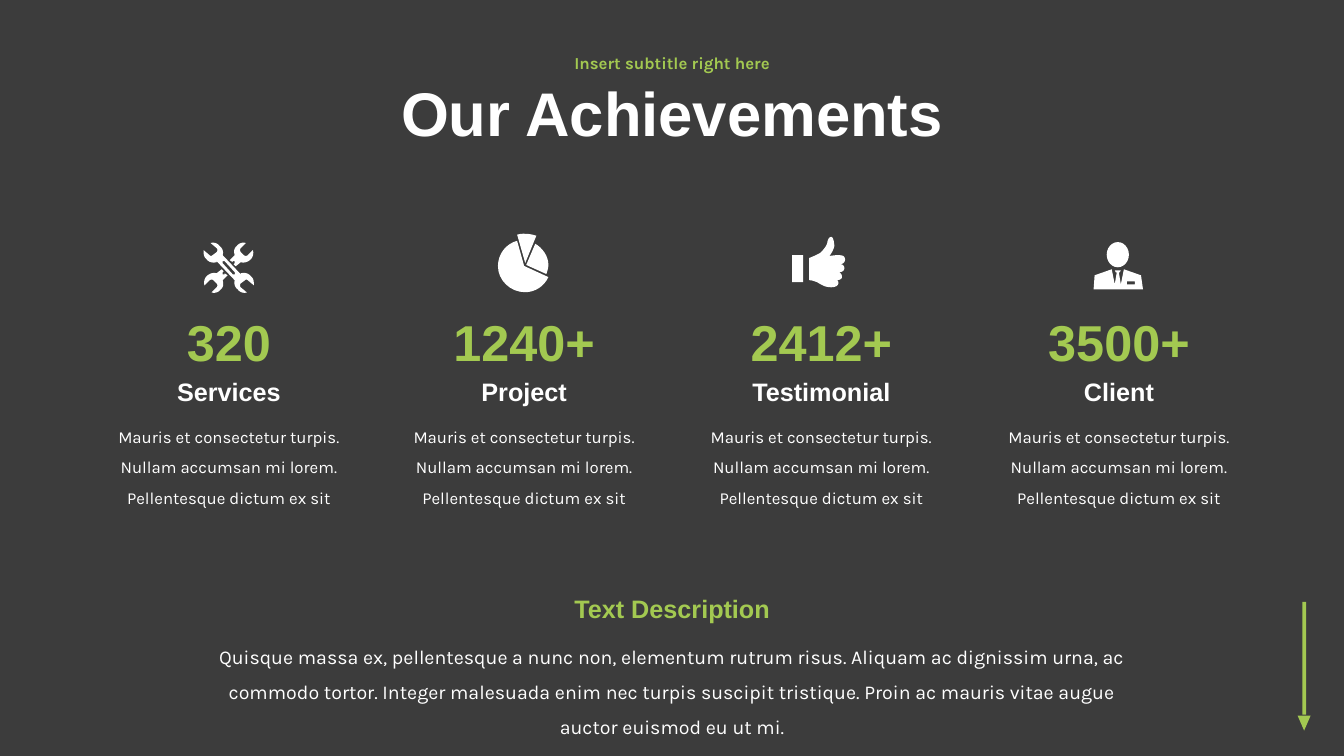
from lxml.etree import SubElement
from pptx import Presentation
from pptx.dml.color import RGBColor
from pptx.enum.shapes import MSO_SHAPE
from pptx.enum.text import MSO_ANCHOR, MSO_AUTO_SIZE, PP_ALIGN
from pptx.oxml.ns import qn
from pptx.util import Cm, Pt

GREEN = RGBColor(0xA3, 0xC9, 0x51)
WHITE = RGBColor(0xFF, 0xFF, 0xFF)
CHARCOAL = RGBColor(0x3C, 0x3C, 0x3C)
HEADING, BODY = "Arial", "Karla"
UNIT = Cm(2.54) / 100  # grid step of the icon outlines
CURVE_STEPS = 8

# Icon outlines: a pair is a corner, six numbers are a Bézier curve.
WRENCH_END = [
    (29, 20), (29, 19), (31, 19), (31, 21), (30, 22), (32, 24), (37, 20),
    (40, 21, 44, 20, 47, 17), (49, 15, 50, 11, 49, 8), (44, 13),
    (43, 14, 41, 14, 40, 13), (37, 10), (36, 9, 36, 7, 37, 6), (42, 1),
    (39, 0, 35, 1, 33, 4), (30, 6, 30, 10, 31, 13), (26, 18)]
WRENCH_HALF = [
    (37, 32), (19, 13), (20, 10, 19, 6, 16, 4), (14, 1, 10, 0, 7, 1), (13, 6),
    (14, 7, 14, 9, 13, 10), (9, 13), (8, 14, 7, 14, 6, 13), (0, 8),
    (0, 11, 0, 15, 3, 17), (5, 20, 9, 21, 13, 20)]
SLOT_HALF = [(31, 30), (31, 32), (29, 32)]
PIE_RIGHT = [(28, 31), (48, 40), (49, 37, 50, 34, 50, 31), (50, 22, 44, 14, 37, 10)]
PIE_MAIN = [(26, 32), (19, 7), (8, 10, 0, 20, 0, 32), (0, 46, 12, 58, 27, 58),
            (37, 58, 46, 52, 50, 43)]
PIE_SLICE = [(27, 29), (38, 2), (35, 1, 31, 0, 26, 0), (24, 0, 22, 0, 19, 1)]
THUMB = [
    (51, 19), (48, 17, 37, 19, 37, 19), (39, 17, 42, 11, 42, 9),
    (42, 6, 41, 0, 39, 0), (36, 0, 35, 5, 35, 6), (34, 10, 30, 14, 28, 16),
    (24, 18, 22, 19, 17, 21), (17, 43), (20, 43, 22, 44, 25, 45),
    (30, 48, 33, 50, 39, 50), (48, 50, 47, 43, 44, 43), (51, 43, 51, 38, 47, 35),
    (54, 35, 53, 27, 48, 27), (53, 27, 54, 21, 51, 19)]
SUIT = [(47, 33), (30, 27), (27, 42), (25, 30), (26, 30), (27, 28), (21, 28),
        (22, 30), (23, 30), (21, 42), (18, 27), (1, 33), (0, 47), (49, 47)]
POCKET = [(41, 42), (33, 42), (33, 39), (41, 39)]


def corners(outline):
    """Turn an outline into plain points, sampling its curves."""
    points = []
    for step in outline:
        if len(step) == 2:
            points.append(step)
            continue
        x0, y0 = points[-1]
        x1, y1, x2, y2, x3, y3 = step
        for index in range(1, CURVE_STEPS + 1):
            t = index / CURVE_STEPS
            a, b, c, d = (1 - t) ** 3, 3 * t * (1 - t) ** 2, 3 * t * t * (1 - t), t ** 3
            points.append((a * x0 + b * x1 + c * x2 + d * x3,
                           a * y0 + b * y1 + c * y2 + d * y3))
    return points


def turned(points):
    """Rotate points half a turn about the centre of the tools icon."""
    return [(50 - x, 51 - y) for x, y in points]


def both_halves(outline):
    half = corners(outline)
    return half + turned(half)


# Each icon: freeforms made of contours, then preset shapes on the same grid.
TOOLS = ([[corners(WRENCH_END)], [turned(corners(WRENCH_END))],
          [both_halves(WRENCH_HALF), both_halves(SLOT_HALF)]], [])
PIE = ([[corners(part)] for part in (PIE_RIGHT, PIE_MAIN, PIE_SLICE)], [])
THUMBS_UP = ([[corners(THUMB)]], [(MSO_SHAPE.RECTANGLE, 0, 18, 11, 27)])
PERSON = ([[SUIT, POCKET]], [(MSO_SHAPE.OVAL, 13, 0, 22, 25)])


class SlideBuilder:
    def __init__(self, deck):
        self.page = deck.slides.add_slide(deck.slide_layouts[5])
        self.page.background.fill.solid()
        self.page.background.fill.fore_color.rgb = CHARCOAL

    def paint(self, shape, color):
        shape.shadow.inherit = False
        shape.fill.solid()
        shape.fill.fore_color.rgb = color
        shape.line.fill.background()

    def set_text(self, box, text, size, color, font, bold, spacing):
        frame = box.text_frame
        frame.word_wrap = True
        frame.text = text
        para = frame.paragraphs[0]
        para.alignment = PP_ALIGN.CENTER
        para.line_spacing = spacing
        para.font.size = Pt(size)
        para.font.name = font
        para.font.bold = bold
        para.font.color.rgb = color
        return frame

    def title(self, text, left, top, width, height):
        box = self.page.shapes.title
        box.left, box.top, box.width, box.height = Cm(left), Cm(top), Cm(width), Cm(height)
        frame = self.set_text(box, text, 44, WHITE, HEADING, True, 0.9)
        frame.auto_size = MSO_AUTO_SIZE.NONE
        frame.vertical_anchor = MSO_ANCHOR.MIDDLE

    def text(self, text, center, top, width, height, size, color,
             font=HEADING, bold=True, spacing=1.0):
        box = self.page.shapes.add_textbox(
            Cm(center - width / 2), Cm(top), Cm(width), Cm(height))
        frame = self.set_text(box, text, size, color, font, bold, spacing)
        frame.auto_size = MSO_AUTO_SIZE.SHAPE_TO_FIT_TEXT
        return frame

    def shape(self, kind, left, top, width, height, color):
        shape = self.page.shapes.add_shape(kind, Cm(left), Cm(top), Cm(width), Cm(height))
        self.paint(shape, color)
        return shape

    def icon(self, left, top, drawing):
        freeforms, presets = drawing
        group = self.page.shapes.add_group_shape()

        def place(x, y):
            return round(Cm(left) + x * UNIT), round(Cm(top) + y * UNIT)

        for contours in freeforms:
            outlines = [[place(x, y) for x, y in contour] for contour in contours]
            builder = group.shapes.build_freeform(*outlines[0][0])
            builder.add_line_segments(outlines[0][1:])
            for hole in outlines[1:]:
                builder.move_to(*hole[0])
                builder.add_line_segments(hole[1:])
            self.paint(builder.convert_to_shape(), WHITE)
        for kind, x, y, width, height in presets:
            shape = group.shapes.add_shape(
                kind, *place(x, y), round(width * UNIT), round(height * UNIT))
            self.paint(shape, WHITE)


def main():
    deck = Presentation()
    deck.slide_width, deck.slide_height = Cm(33.87), Cm(19.05)
    slide = SlideBuilder(deck)

    # Translucent band behind the figures
    band = slide.shape(MSO_SHAPE.RECTANGLE, 0, 4.93, 33.87, 8.86, CHARCOAL)
    color = band.element.spPr.find(qn("a:solidFill"))[0]
    SubElement(color, qn("a:alpha")).set("val", "85000")

    # Down arrow in the corner
    slide.shape(MSO_SHAPE.RECTANGLE, 32.82, 15.17, 0.1, 2.84, GREEN)
    head = slide.shape(MSO_SHAPE.ISOSCELES_TRIANGLE, 32.7, 18.03, 0.33, 0.38, GREEN)
    head.rotation = 180

    # Heading
    slide.title("Our Achievements", 7.42, 1.63, 19.05, 2.62)
    subtitle = slide.text("Insert subtitle right here", 16.94, 1.14, 19.05, 0.97,
                          12, GREEN, BODY, spacing=0.9)
    subtitle.auto_size = MSO_AUTO_SIZE.NONE
    subtitle.vertical_anchor = MSO_ANCHOR.MIDDLE

    # Four achievements: centre, icon position, icon, number, label
    achievements = [
        (5.77, 5.13, 6.1, TOOLS, "320", "Services"),
        (13.21, 12.55, 5.89, PIE, "1240+", "Project"),
        (20.7, 19.96, 5.97, THUMBS_UP, "2412+", "Testimonial"),
        (28.2, 27.56, 6.1, PERSON, "3500+", "Client"),
    ]
    for center, icon_left, icon_top, drawing, number, label in achievements:
        slide.icon(icon_left, icon_top, drawing)
        slide.text(number, center, 7.72, 5.97, 1.8, 36, GREEN)
        slide.text(label, center, 9.37, 6.2, 1.02, 18, WHITE)
        slide.text("Mauris et consectetur turpis. Nullam accumsan mi lorem. "
                   "Pellentesque dictum ex sit",
                   center, 10.38, 6.65, 2.49, 12, WHITE, BODY, False, 1.5)

    # Description
    slide.text("Text Description", 16.94, 14.83, 7.42, 1.02, 18, GREEN)
    slide.text("Quisque massa ex, pellentesque a nunc non, elementum rutrum risus. "
               "Aliquam ac dignissim urna, ac commodo tortor. Integer malesuada enim "
               "nec turpis suscipit tristique. Proin ac mauris vitae augue auctor "
               "euismod eu ut mi.",
               16.94, 15.82, 24.13, 1.96, 14, WHITE, BODY, False, 1.5)

    deck.save("out.pptx")


if __name__ == "__main__":
    main()
